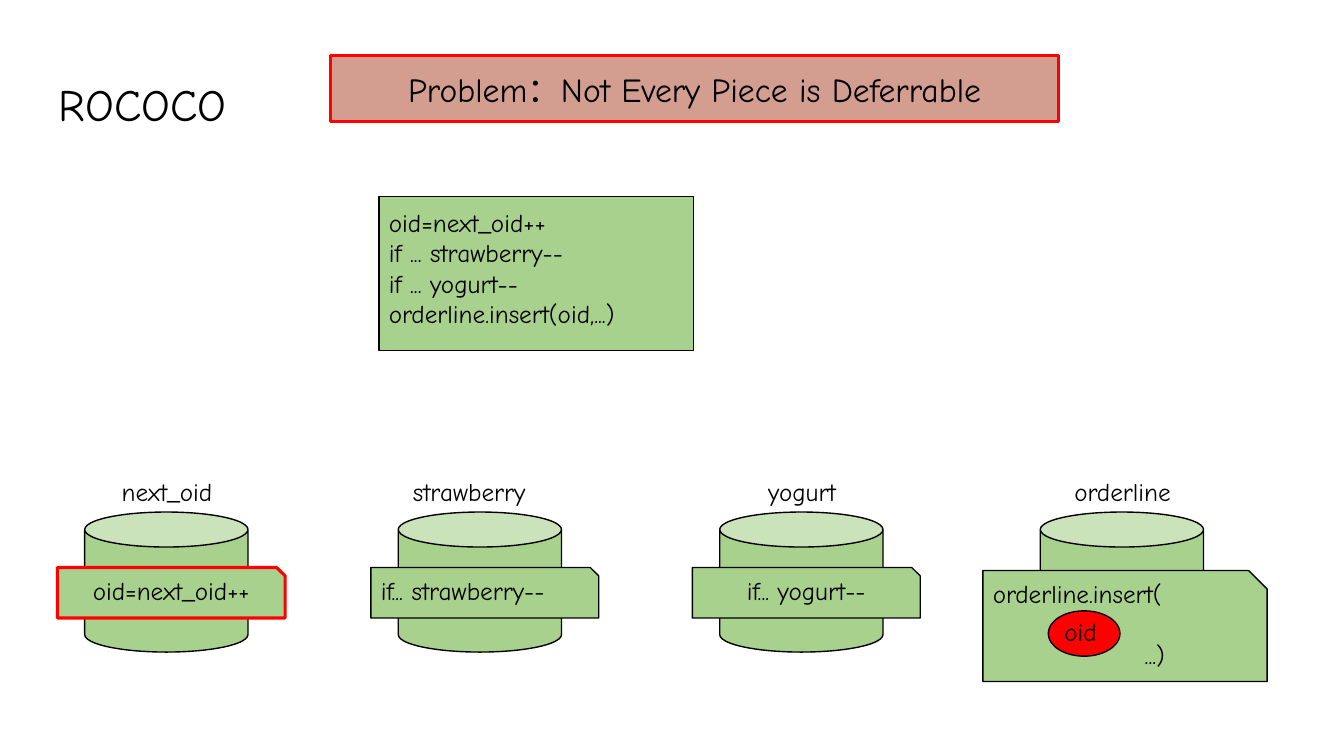
"""Build the ROCOCO slide on pieces that cannot be deferred."""
from dataclasses import dataclass

from pptx import Presentation
from pptx.dml.color import RGBColor
from pptx.enum.shapes import MSO_SHAPE as Kind
from pptx.enum.text import MSO_ANCHOR as Anchor, PP_ALIGN as Align
from pptx.shapes.autoshape import Shape
from pptx.util import Inches, Pt

WIDE, HIGH = Inches(13.333), Inches(7.5)
FONT = "Comic Neue"
BLACK = RGBColor(0x00, 0x00, 0x00)
RED = RGBColor(0xFF, 0x00, 0x00)
GREEN = RGBColor(0xA9, 0xD1, 0x8E)
ROSE = RGBColor(0xD3, 0x9E, 0x90)
LEFT, MID = Align.LEFT, Align.CENTER


@dataclass(frozen=True)
class Box:
    """A frame in percent of the slide's width and height."""
    x: float
    y: float
    w: float
    h: float

    def frame(self) -> tuple[int, int, int, int]:
        """Give the frame in slide units."""
        return (int(WIDE * self.x / 100), int(HIGH * self.y / 100),
                int(WIDE * self.w / 100), int(HIGH * self.h / 100))


@dataclass(frozen=True)
class Line:
    """One line of text with its gap above and its indent."""
    text: str
    gap: float = 0
    indent: float = 0


@dataclass(frozen=True)
class Store:
    """A data store with its label and the piece that runs on it."""
    x: float
    name: str
    code: tuple[Line, ...]
    tag: Box
    align: Align = MID
    code_align: Align = MID
    edge: RGBColor = BLACK
    weight: float = 1


def write(shape: Shape, lines: tuple[Line, ...], size: float = 18,
          align: Align = LEFT, anchor: Anchor = Anchor.TOP,
          inset: float | None = None, pitch: float | None = None) -> None:
    """Fill a shape with lines of text."""
    frame = shape.text_frame
    frame.word_wrap = True
    frame.vertical_anchor = anchor
    if inset is not None:
        frame.margin_left = frame.margin_right = Inches(inset)
        frame.margin_top = frame.margin_bottom = Inches(inset)
    for i, line in enumerate(lines):
        para = frame.add_paragraph() if i else frame.paragraphs[0]
        para.alignment = align
        if line.gap:
            para.space_before = Pt(line.gap)
        if line.indent:
            para._p.get_or_add_pPr().set("marL", str(int(WIDE * line.indent / 100)))
        if pitch:
            para.line_spacing = pitch
        run = para.add_run()
        run.text = line.text
        run.font.name, run.font.size = FONT, Pt(size)
        run.font.color.rgb = BLACK


def draw(tree, kind: Kind, box: Box, fill: RGBColor = GREEN,
         edge: RGBColor = BLACK, weight: float = 1) -> Shape:
    """Add a filled and outlined shape."""
    shape = tree.add_shape(kind, *box.frame())
    shape.shadow.inherit = False
    shape.fill.solid()
    shape.fill.fore_color.rgb = fill
    shape.line.color.rgb = edge
    shape.line.width = Pt(weight)
    return shape


def label(tree, box: Box, *lines: Line, align: Align = LEFT) -> None:
    """Add a plain text box."""
    write(tree.add_textbox(*box.frame()), lines, align=align)


def draw_store(tree, store: Store) -> None:
    """Add a labelled can and the tag across it."""
    can = tree.add_group_shape().shapes
    draw(can, Kind.CAN, Box(store.x, 67.73, 12.15, 18.53))
    label(can, Box(store.x + 0.35, 62.4, 11.55, 5.33), Line(store.name),
          align=store.align)
    tag = tree.add_group_shape().shapes
    box = Box(store.x + store.tag.x, store.tag.y, store.tag.w, store.tag.h)
    draw(tag, Kind.SNIP_1_RECTANGLE, box, edge=store.edge, weight=store.weight)
    label(tag, Box(box.x, box.y + 0.4, box.w, box.h - 1.3), *store.code,
          align=store.code_align)


SLIM = Box(-2.03, 75.07, 16.95, 6.67)
LARGE = Box(-4.27, 75.47, 21.15, 14.67)
STORES = (
    Store(6.3, "next_oid", (Line("oid=next_oid++"),), SLIM, edge=RED, weight=2.25),
    Store(29.63, "strawberry", (Line("if... strawberry--"),), SLIM, LEFT, LEFT),
    Store(53.55, "yogurt", (Line("if... yogurt--"),), SLIM),
    Store(77.4, "orderline",
          (Line("orderline.insert("), Line("...)", 21.5, 11.3)), LARGE,
          code_align=LEFT),
)
CODE = ("oid=next_oid++", "if ... strawberry--", "if ... yogurt--",
        "orderline.insert(oid,...)")


def main() -> None:
    """Build and save the slide."""
    deck = Presentation()
    deck.slide_width, deck.slide_height = WIDE, HIGH
    tree = deck.slides.add_slide(deck.slide_layouts[6]).shapes

    title = tree.add_textbox(*Box(3.38, 8.53, 17.63, 11.2).frame())
    write(title, (Line("ROCOCO"),), 32, anchor=Anchor.MIDDLE, inset=0.13, pitch=0.9)
    banner = draw(tree, Kind.RECTANGLE, Box(24.6, 7.33, 54.15, 8.8), ROSE, RED, 2.25)
    write(banner, (Line("Problem：Not Every Piece is Deferrable"),), 24, MID,
          Anchor.MIDDLE, 0.13)

    code = tree.add_group_shape().shapes
    draw(code, Kind.RECTANGLE, Box(28.2, 26, 23.4, 20.4))
    label(code, Box(28.2, 26.8, 23.4, 17.47), *map(Line, CODE))

    for store in STORES:
        draw_store(tree, store)

    mark = tree.add_group_shape().shapes
    draw(mark, Kind.OVAL, Box(78, 80.8, 5.33, 6), RED)
    label(mark, Box(78.45, 80.93, 4.35, 5.33), Line("oid"))
    deck.save("out.pptx")


if __name__ == "__main__":
    main()
